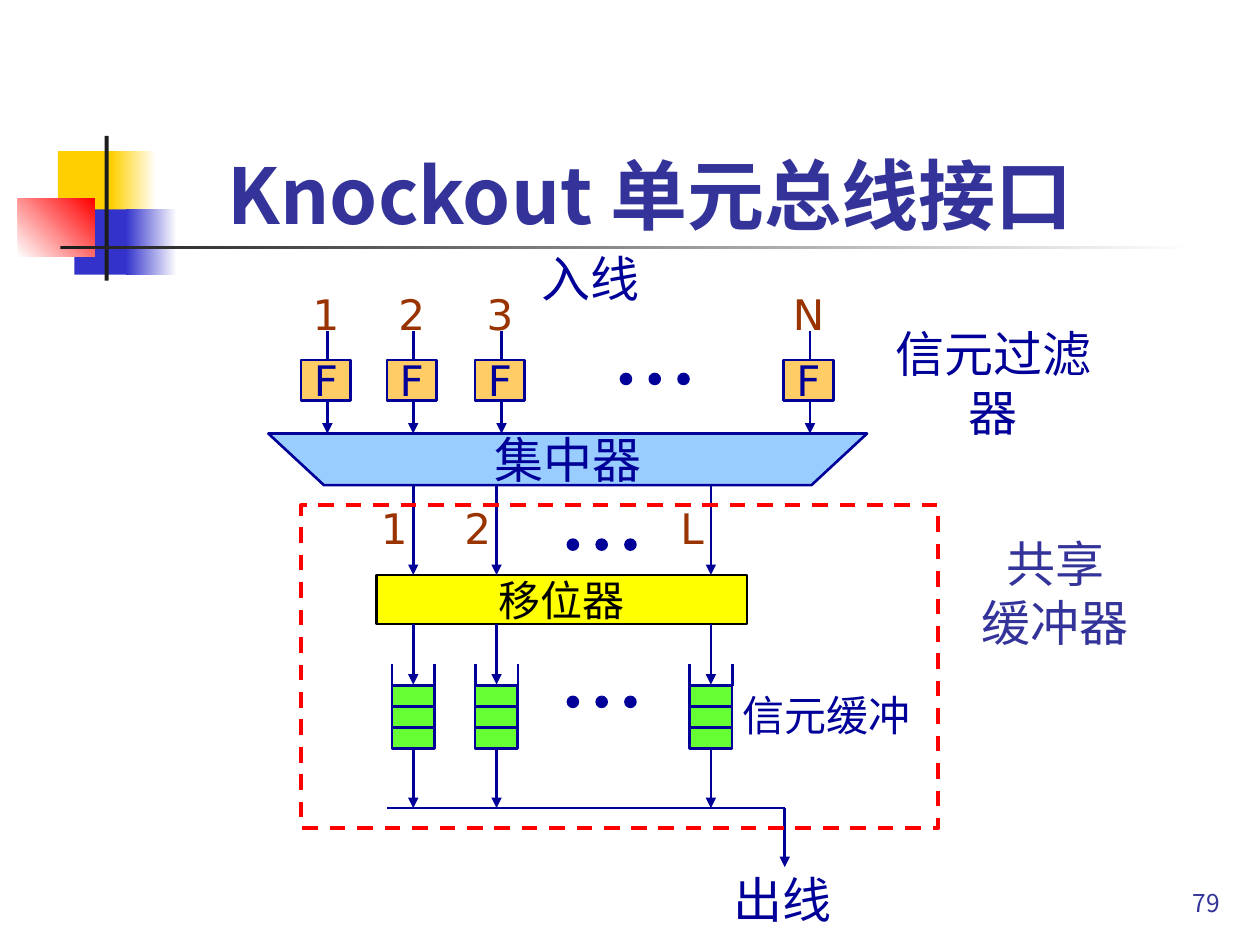
from collections import namedtuple
from dataclasses import dataclass

from lxml import etree
from pptx import Presentation
from pptx.dml.color import RGBColor
from pptx.enum.dml import MSO_LINE
from pptx.enum.shapes import MSO_CONNECTOR, MSO_SHAPE
from pptx.enum.text import MSO_ANCHOR, PP_ALIGN
from pptx.oxml.ns import qn
from pptx.util import Cm, Pt

RECTANGLE, OVAL = MSO_SHAPE.RECTANGLE, MSO_SHAPE.OVAL
STRAIGHT = MSO_CONNECTOR.STRAIGHT
DASH = MSO_LINE.DASH
MIDDLE, BOTTOM = MSO_ANCHOR.MIDDLE, MSO_ANCHOR.BOTTOM
CENTER, RIGHT = PP_ALIGN.CENTER, PP_ALIGN.RIGHT

Box = namedtuple("Box", "left top width height")


@dataclass(frozen=True)
class Theme:
    title_font: str = "Noto Sans CJK JP"
    body_font: str = "DejaVu Sans"
    indigo: str = "333399"
    navy: str = "000099"
    brown: str = "993300"
    black: str = "000000"
    charcoal: str = "1C1C1C"
    white: str = "FFFFFF"
    gold: str = "FFCF01"
    blue: str = "3333CC"
    red: str = "FF0000"
    sky: str = "99CCFF"
    orange: str = "FFCC66"
    yellow: str = "FFFF00"
    green: str = "66FF33"
    title_size: int = 44
    large: int = 28
    medium: int = 24
    small: int = 14
    stroke: float = 1.5
    frame_stroke: float = 2.25


THEME = Theme()


def color(value):
    return RGBColor.from_string(value)


def within(box, left, top, width, height):
    return Box(box.left + left, box.top + top, width, height)


def write(shape, text, size, ink, font=THEME.body_font, align=CENTER,
          anchor=MIDDLE, bold=False, wrap=False, margins=(0, 0)):
    frame = shape.text_frame
    frame.text = text
    frame.word_wrap = wrap
    frame.vertical_anchor = anchor
    frame.margin_left = frame.margin_right = Cm(margins[0])
    frame.margin_top = frame.margin_bottom = Cm(margins[1])
    for para in frame.paragraphs:
        para.alignment = align
        for span in para.runs:
            span.font.name = font
            span.font.size = Pt(size)
            span.font.bold = bold
            span.font.color.rgb = color(ink)
            east_asian = etree.Element(qn("a:ea"), typeface=font)
            span.font._element.find(qn("a:latin")).addnext(east_asian)


def paint(shape, fill=None, line=None, stroke=THEME.stroke):
    shape.shadow.inherit = False
    if fill:
        shape.fill.solid()
        shape.fill.fore_color.rgb = color(fill)
    else:
        shape.fill.background()
    if line:
        shape.line.color.rgb = color(line)
        shape.line.width = Pt(stroke)
    else:
        shape.line.fill.background()


def add_block(page, box, fill=None, line=None, kind=RECTANGLE, stroke=THEME.stroke):
    shape = page.shapes.add_shape(kind, *map(Cm, box))
    paint(shape, fill, line, stroke)
    return shape


def add_fade(page, box, start, end, angle=0):
    shape = add_block(page, box)
    shape.fill.gradient()
    shape.fill.gradient_angle = angle
    for stop, value in zip(shape.fill.gradient_stops, (start, end)):
        stop.color.rgb = color(value)


def add_label(page, box, text, size, ink=THEME.navy, **options):
    write(page.shapes.add_textbox(*map(Cm, box)), text, size, ink, **options)


def add_line(page, box, start, end, arrow=False):
    points = [Cm(origin + offset) for point in (start, end)
              for origin, offset in zip((box.left, box.top), point)]
    connector = page.shapes.add_connector(STRAIGHT, *points)
    connector.line.color.rgb = color(THEME.navy)
    connector.line.width = Pt(THEME.stroke)
    if arrow:
        etree.SubElement(connector.line._get_or_add_ln(), qn("a:tailEnd"), type="triangle")
    etree.SubElement(connector._element.spPr, qn("a:effectLst"))


def add_dots(page, box, left, top):
    for index in range(3):
        add_block(page, within(box, left + 0.58 * index, top, 0.2, 0.2),
                  THEME.navy, THEME.navy, OVAL)


def draw_ornament(page, box):
    for left, top, width, fade_left, fade_width, fill in (
            (0.81, 0.31, 1.22, 1.88, 0.91, THEME.gold),
            (1.14, 1.48, 1.17, 2.18, 1.02, THEME.blue)):
        add_block(page, within(box, left, top, width, 1.32), fill)
        add_fade(page, within(box, fade_left, top, fade_width, 1.32), fill, THEME.white)
    add_fade(page, within(box, 0, 1.27, 1.55, 1.17), THEME.white, THEME.red, 45)
    add_block(page, within(box, 1.75, 0, 0.08, box.height), THEME.charcoal)
    add_fade(page, within(box, 0.86, 2.21, 22.86, 0.08), THEME.charcoal, THEME.white)


def draw_title(page, box):
    title = page.shapes.title
    title.left, title.top, title.width, title.height = map(Cm, box)
    write(title, "Knockout 单元总线接口", THEME.title_size, THEME.indigo,
          THEME.title_font, anchor=BOTTOM, bold=True, wrap=True, margins=(0.25, 0.13))


def draw_page_number(page, box):
    add_label(page, box, "79", THEME.small, THEME.indigo, font=THEME.title_font,
              align=RIGHT, anchor=BOTTOM, wrap=True, margins=(0.25, 0.13))


def draw_filters(page, box):
    for name, center in (("1", 0.53), ("2", 2.26), ("3", 4.04), ("N", 10.26)):
        add_line(page, box, (center, 1.55), (center, box.height), arrow=True)
        cell = add_block(page, within(box, center - 0.53, 2.13, 1, 0.81),
                         THEME.orange, THEME.navy)
        write(cell, "F", THEME.medium, THEME.navy)
        add_label(page, within(box, center - 0.4, 0.79, 0.74, 0.81),
                  name, THEME.medium, THEME.brown)
    add_dots(page, box, 6.45, 2.41)
    add_label(page, within(box, 3.84, 0, 3.99, 0.94), "入线", THEME.large)
    add_label(page, within(box, 11.86, 2.18, 4.19, 0.81), "信元过滤器", THEME.large)


def draw_concentrator(page, box):
    inset = 1.12
    right, bottom = box.left + box.width, box.top + box.height
    builder = page.shapes.build_freeform(Cm(box.left), Cm(box.top))
    builder.add_line_segments([(Cm(x), Cm(y)) for x, y in (
        (box.left + inset, bottom), (right - inset, bottom), (right, box.top))])
    trapezoid = builder.convert_to_shape()
    paint(trapezoid, THEME.sky, THEME.navy)
    write(trapezoid, "集中器", THEME.large, THEME.navy)


def draw_queue(page, box):
    add_block(page, box, THEME.green, THEME.navy)
    for side in (0, box.width):
        add_line(page, box, (side, -0.43), (side, 0))
    for third in (1, 2):
        height = box.height * third / 3
        add_line(page, box, (0, height), (box.width, height))


def draw_shared_buffer(page, box):
    bus_top = 6.1
    shifter = add_block(page, within(box, 1.52, 1.4, 7.47, 0.99), THEME.yellow, THEME.black)
    write(shifter, "移位器", THEME.medium, THEME.black)
    for name, center in (("1", 2.26), ("2", 3.94), ("L", 8.26)):
        draw_queue(page, within(box, center - 0.43, 3.63, 0.86, 1.27))
        for start, end in ((-0.41, 1.4), (2.39, 3.61), (4.88, bus_top)):
            add_line(page, box, (center, start), (center, end), arrow=True)
        add_label(page, within(box, center - 0.74, 0.05, 0.72, 0.81),
                  name, THEME.medium, THEME.brown)
    for top in (0.69, 3.86):
        add_dots(page, box, 5.38, top)
    add_label(page, within(box, 8.59, 3.35, 3.99, 1.73), "信元缓冲", THEME.medium, wrap=True)
    add_line(page, box, (1.73, bus_top), (9.75, bus_top))
    add_line(page, box, (9.75, bus_top), (9.75, 7.29), arrow=True)
    add_label(page, within(box, 8.64, 7.52, 2.13, 0.81), "出线", THEME.large)
    border = add_block(page, box, line=THEME.red, stroke=THEME.frame_stroke)
    border.line.dash_style = DASH
    add_label(page, within(box, 13.11, 0.69, 4.19, 2.11),
              "共享\n缓冲器", THEME.large, THEME.indigo)


def main():
    deck = Presentation()
    deck.slide_width, deck.slide_height = Cm(25.4), Cm(19.05)
    page = deck.slides.add_slide(deck.slide_layouts[5])
    draw_ornament(page, Box(0.36, 2.74, 23.72, 2.92))
    draw_title(page, Box(2.29, 0.91, 21.64, 4.06))
    draw_page_number(page, Box(19.56, 17.35, 5.28, 1.27))
    draw_filters(page, Box(6.07, 5.13, 16.05, 3.61))
    draw_concentrator(page, Box(5.41, 8.74, 12.07, 1.04))
    draw_shared_buffer(page, Box(6.07, 10.19, 12.85, 6.5))
    deck.save("out.pptx")


if __name__ == "__main__":
    main()
